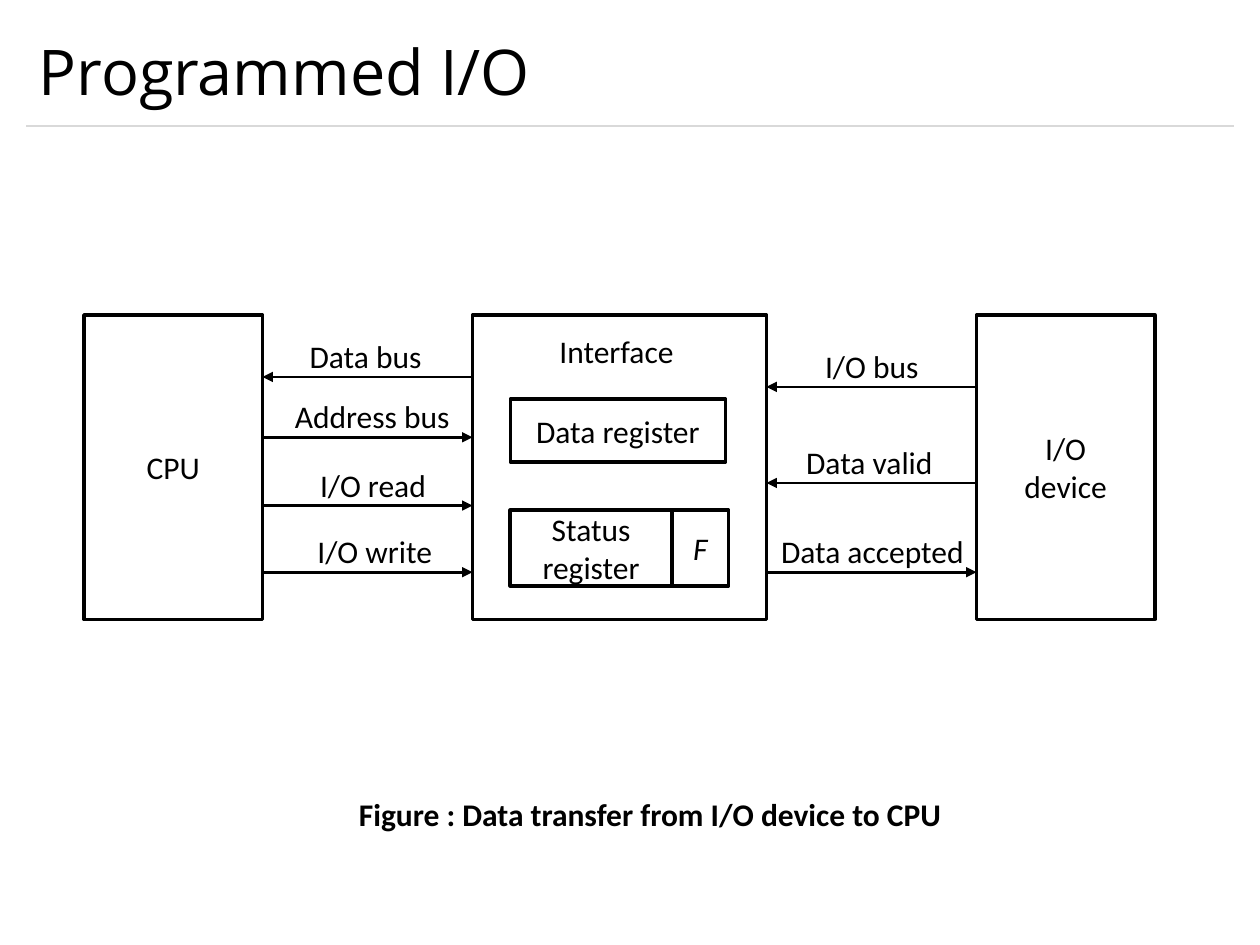
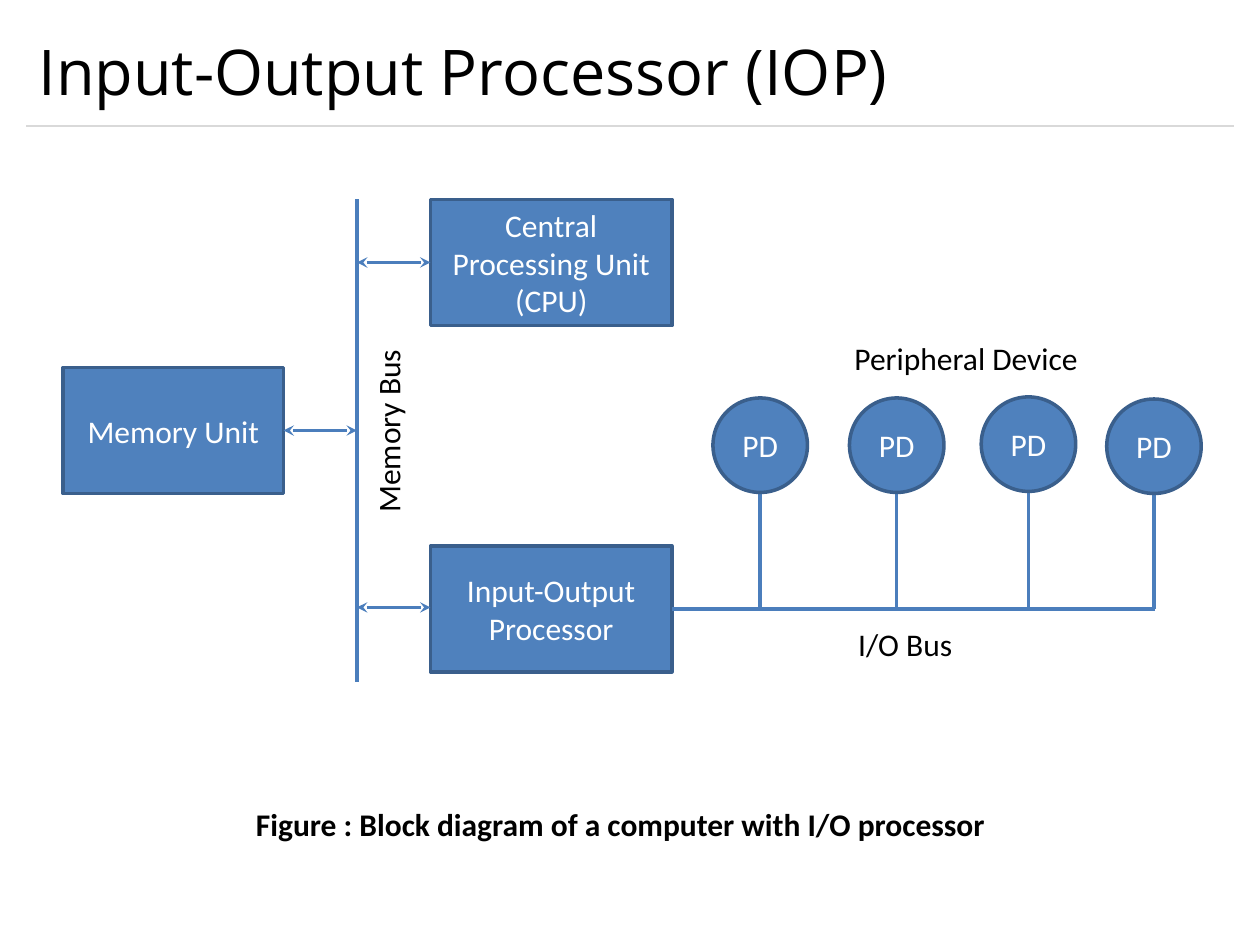
from lxml import etree
from pptx import Presentation
from pptx.dml.color import RGBColor
from pptx.enum.shapes import MSO_CONNECTOR, MSO_SHAPE
from pptx.enum.text import MSO_ANCHOR, PP_ALIGN
from pptx.oxml.ns import qn
from pptx.util import Inches, Pt

RECTANGLE, OVAL = MSO_SHAPE.RECTANGLE, MSO_SHAPE.OVAL
STRAIGHT = MSO_CONNECTOR.STRAIGHT
TOP, MIDDLE = MSO_ANCHOR.TOP, MSO_ANCHOR.MIDDLE
LEFT, CENTER = PP_ALIGN.LEFT, PP_ALIGN.CENTER

CELL = Inches(10) / 120
BLACK, WHITE, RULE = "000000", "FFFFFF", "D9D9D9"
BLUE, BLUE_EDGE, BUS_BLUE = "4F81BD", "3A5F8C", "4B7EBC"
BODY_FONT, TITLE_FONT = "Calibri", "Open Sans"


def cells(*counts):
    return [round(count * CELL) for count in counts]


def color(value):
    return RGBColor.from_string(value)


def write(frame, lines, ink=BLACK, align=LEFT, anchor=TOP, size=18,
          font=BODY_FONT, bold=False, italic=False):
    frame.word_wrap = True
    frame.vertical_anchor = anchor
    for index, line in enumerate(lines):
        paragraph = frame.paragraphs[0] if index == 0 else frame.add_paragraph()
        paragraph.alignment = align
        run = paragraph.add_run()
        run.text = line
        run.font.size = Pt(size)
        run.font.name = font
        run.font.bold = bold
        run.font.italic = italic
        run.font.color.rgb = color(ink)


def add_label(slide, text, area, rotation=0, **style):
    label = slide.shapes.add_textbox(*cells(*area))
    label.rotation = rotation
    write(label.text_frame, [text], **style)


def add_block(slide, area, lines=(), fill=None, edge=BLACK, ink=BLACK,
              outline=RECTANGLE, italic=False):
    block = slide.shapes.add_shape(outline, *cells(*area))
    block.shadow.inherit = False
    if fill:
        block.fill.solid()
        block.fill.fore_color.rgb = color(fill)
    else:
        block.fill.background()
    block.line.color.rgb = color(edge)
    block.line.width = Pt(2)
    write(block.text_frame, lines, ink, CENTER, MIDDLE, italic=italic)


def add_blue_block(slide, area, text, outline=RECTANGLE):
    add_block(slide, area, [text], BLUE, BLUE_EDGE, WHITE, outline)


def add_line(slide, start, end, ink=BUS_BLUE, width=2, head=None, tail=None):
    line = slide.shapes.add_connector(STRAIGHT, *cells(*start, *end))
    line.line.color.rgb = color(ink)
    line.line.width = Pt(width)
    properties = line.line._get_or_add_ln()
    for end_tag, arrow in (("a:headEnd", head), ("a:tailEnd", tail)):
        if arrow:
            etree.SubElement(properties, qn(end_tag), type=arrow)
    etree.SubElement(line._element.spPr, qn("a:effectLst"))


def add_titled_slide(deck, title):
    slide = deck.slides.add_slide(deck.slide_layouts[6])
    add_line(slide, (2.5, 12), (117.5, 12), RULE, 0.75)
    add_label(slide, title, (2.5, 1.4, 115, 10.6), anchor=MIDDLE,
              size=36, font=TITLE_FONT)
    return slide


def build_programmed_io(deck):
    slide = add_titled_slide(deck, "Programmed I/O")
    cpu_right, interface_left, interface_right, device_left = 25, 45, 73, 93
    add_block(slide, (8, 30, 17, 29), ["CPU"])
    add_block(slide, (interface_left, 30, 28, 29))
    add_label(slide, "Interface", (52.1, 31, 13.6, 4.8))
    add_block(slide, (48.6, 38, 20.5, 6), ["Data register"])
    add_block(slide, (48.6, 48.6, 15.4, 7.2), ["Status register"])
    add_block(slide, (64, 48.6, 5.4, 7.2), ["F"], italic=True)
    add_block(slide, (device_left, 30, 17, 29), ["I/O", "device"])

    signals = [
        ("Data bus", interface_left, cpu_right, 35.9, 28.3, 14),
        ("Address bus", cpu_right, interface_left, 41.65, 26.9, 18.6),
        ("I/O read", cpu_right, interface_left, 48.15, 29.3, 12.7),
        ("I/O write", cpu_right, interface_left, 54.5, 29.05, 14),
        ("I/O bus", device_left, interface_right, 36.85, 77.4, 11.6),
        ("Data valid", device_left, interface_right, 46, 75.6, 15.4),
        ("Data accepted", interface_right, device_left, 54.5, 73.2, 20.5),
    ]
    for name, source, target, row, label_left, label_width in signals:
        add_line(slide, (source, row), (target, row), BLACK, 1.5, tail="triangle")
        add_label(slide, name, (label_left, row - 4.4, label_width, 4.8))

    add_label(slide, "Figure : Data transfer from I/O device to CPU",
              (33, 75.1, 70, 4.8), bold=True)


def build_io_processor(deck):
    slide = add_titled_slide(deck, "Input-Output Processor (IOP)")
    memory_bus, io_bus, device_size = 34, 58, 9
    add_blue_block(slide, (6, 35, 21, 12), "Memory Unit")
    add_blue_block(slide, (41, 19, 23, 12), "Central Processing Unit (CPU)")
    add_blue_block(slide, (41, 52, 23, 12), "Input-Output Processor")

    add_line(slide, (memory_bus, 19), (memory_bus, 65))
    for left, row in ((memory_bus, 25), (memory_bus, 57.85), (27, 41)):
        add_line(slide, (left, row), (left + 7, row), head="stealth", tail="stealth")

    add_line(slide, (64, io_bus), (110, io_bus))
    for center, top in ((72.4, 37.9), (85.4, 37.9), (97.95, 37.8), (109.9, 38)):
        add_line(slide, (center, top + device_size), (center, io_bus))
        add_blue_block(slide, (center - device_size / 2, top, device_size, device_size),
                       "PD", OVAL)

    add_label(slide, "Peripheral Device", (80.2, 31.7, 24, 4.8))
    add_label(slide, "Memory Bus", (27.9, 38.55, 18.1, 4.8), rotation=270)
    add_label(slide, "I/O Bus", (80.55, 58.95, 11.6, 4.8))
    add_label(slide, "Figure : Block diagram of a computer with I/O processor",
              (23.2, 76.1, 81.6, 8.5), bold=True)


def main():
    deck = Presentation()
    deck.slide_width, deck.slide_height = cells(120, 90)
    build_programmed_io(deck)
    build_io_processor(deck)
    deck.save("out.pptx")


if __name__ == "__main__":
    main()
